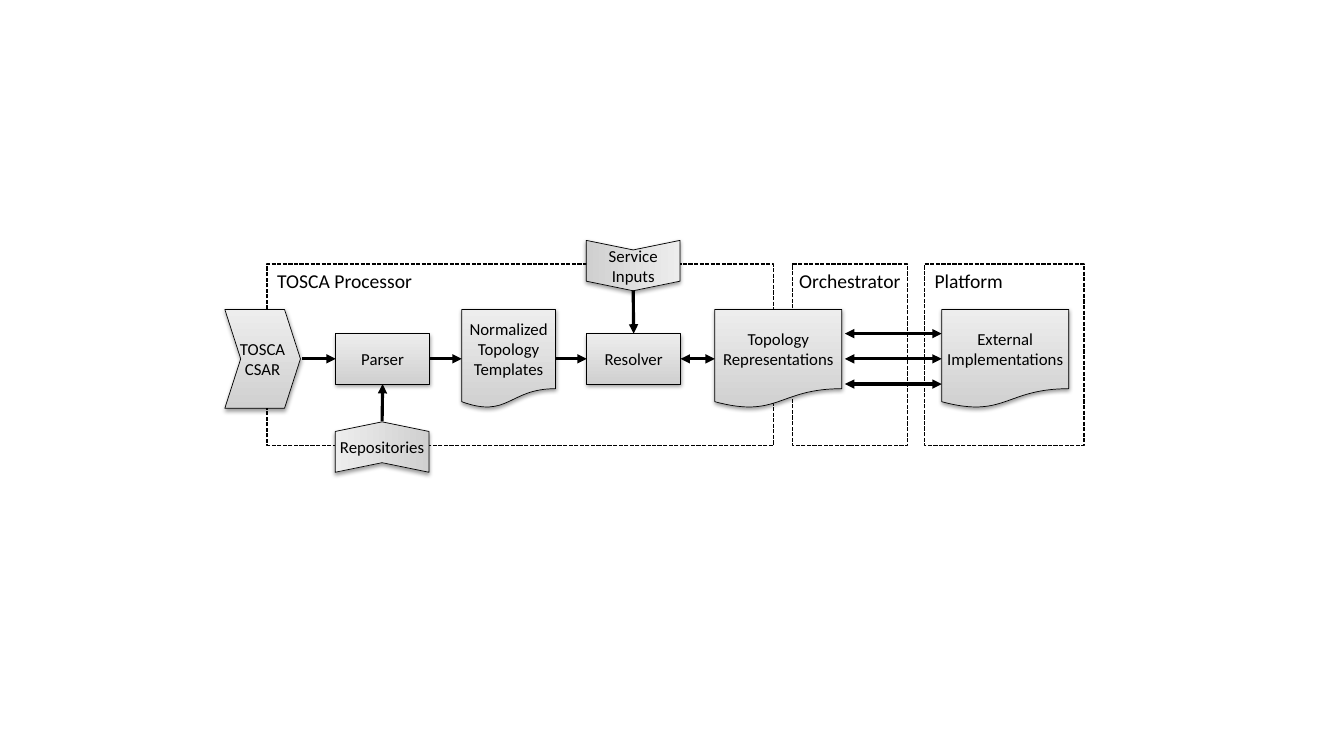
from dataclasses import dataclass
from typing import Optional

from lxml.etree import SubElement
from pptx import Presentation
from pptx.dml.color import RGBColor
from pptx.enum.dml import MSO_LINE
from pptx.enum.shapes import MSO_CONNECTOR, MSO_SHAPE
from pptx.enum.text import MSO_ANCHOR, PP_ALIGN
from pptx.oxml.ns import qn
from pptx.shapes.autoshape import Shape
from pptx.shapes.connector import Connector
from pptx.slide import Slide
from pptx.util import Inches, Pt

COLORS = {"ink": "000000", "dark": "D0D0D0", "light": "EDEDED"}
FONT = "Calibri"
TOP, LEFT, BOTTOM, RIGHT = range(4)
FRAME_TOP, FRAME_HEIGHT = 2.62, 1.8
MIDDLE = 3.56
ARROW_GAP = 0.25
DEFAULT_INSETS = (0.1, 0.05, 0.1, 0.05)
NO_INSETS = (0, 0, 0, 0)


@dataclass(frozen=True)
class Frame:
    text: str
    left: float
    width: float
    align: PP_ALIGN = PP_ALIGN.LEFT
    insets: tuple[float, ...] = DEFAULT_INSETS


@dataclass(frozen=True)
class Node:
    name: str
    text: str
    kind: MSO_SHAPE
    left: float
    top: float
    width: float
    height: float
    insets: tuple[float, ...] = NO_INSETS
    notch: Optional[float] = None
    rotation: int = 0
    direction: str = "horz"
    wrap: bool = True


@dataclass(frozen=True)
class Arrow:
    begin: tuple[float, float]
    end: tuple[float, float]
    source: Optional[tuple[str, int]] = None
    target: Optional[tuple[str, int]] = None
    both_ways: bool = False


FRAMES = [
    Frame("Orchestrator", 7.86, 1.14, PP_ALIGN.CENTER, (0, 0.05, 0, 0.05)),
    Frame("TOSCA Processor", 2.65, 5.02),
    Frame("Platform", 9.17, 1.58),
]

BOX, DOCUMENT, CHEVRON = MSO_SHAPE.RECTANGLE, MSO_SHAPE.FLOWCHART_DOCUMENT, MSO_SHAPE.CHEVRON
NODES = [
    Node("csar", "TOSCA\nCSAR", CHEVRON, 2.23, 3.07, 0.75, 0.98, notch=0.21, wrap=False),
    Node("resolver", "Resolver", BOX, 5.82, 3.31, 0.93, 0.5, DEFAULT_INSETS),
    Node("parser", "Parser", BOX, 3.33, 3.31, 0.93, 0.5, DEFAULT_INSETS),
    Node("templates", "Normalized\nTopology\nTemplates", DOCUMENT, 4.58, 3.07, 0.93, 0.98),
    Node("topology", "Topology\nRepresentations", DOCUMENT, 7.09, 3.07, 1.26, 0.98),
    Node("repositories", "Repositories", CHEVRON, 3.54, 3.97, 0.5, 0.93,
         notch=0.19, rotation=270, direction="vert"),
    Node("inputs", "Service Inputs", CHEVRON, 6.03, 2.17, 0.5, 0.93,
         notch=0.19, rotation=90, direction="vert270"),
    Node("external", "External\nImplementations", DOCUMENT, 9.34, 3.07, 1.26, 0.98),
]

ARROWS = [
    Arrow((3, MIDDLE), (3.33, MIDDLE), target=("parser", LEFT)),
    Arrow((3.79, 4.18), (3.79, 3.81), target=("parser", BOTTOM)),
    Arrow((4.26, MIDDLE), (4.58, MIDDLE), ("parser", RIGHT), ("templates", LEFT)),
    Arrow((5.51, MIDDLE), (5.82, MIDDLE), ("templates", RIGHT), ("resolver", LEFT)),
    Arrow((6.28, 2.88), (6.28, 3.31), target=("resolver", TOP)),
    Arrow((6.75, MIDDLE), (7.09, MIDDLE), ("resolver", RIGHT), ("topology", LEFT), True),
    Arrow((8.38, MIDDLE), (9.34, MIDDLE), target=("external", LEFT), both_ways=True),
] + [
    Arrow((8.38, MIDDLE + offset), (9.34, MIDDLE + offset), both_ways=True)
    for offset in (-ARROW_GAP, ARROW_GAP)
]


def color(name: str) -> RGBColor:
    return RGBColor.from_string(COLORS[name])


def write_text(shape: Shape, text: str, *, size: int, align: PP_ALIGN, anchor: MSO_ANCHOR,
               insets: tuple[float, ...], wrap: bool = True, direction: str = "horz") -> None:
    frame = shape.text_frame
    frame.word_wrap = wrap
    frame.vertical_anchor = anchor
    frame.margin_left, frame.margin_top, frame.margin_right, frame.margin_bottom = map(Inches, insets)
    shape.element.txBody.find(qn("a:bodyPr")).set("vert", direction)
    frame.text = text
    for paragraph in frame.paragraphs:
        paragraph.alignment = align
        font = paragraph.runs[0].font
        font.name, font.size = FONT, Pt(size)
        font.color.rgb = color("ink")


def add_outlined(slide: Slide, kind: MSO_SHAPE, left: float, top: float,
                 width: float, height: float, line_width: float) -> Shape:
    shape = slide.shapes.add_shape(kind, *map(Inches, (left, top, width, height)))
    shape.shadow.inherit = False
    shape.line.color.rgb = color("ink")
    shape.line.width = Pt(line_width)
    return shape


def draw_frame(slide: Slide, frame: Frame) -> None:
    shape = add_outlined(slide, BOX, frame.left, FRAME_TOP, frame.width, FRAME_HEIGHT, 1)
    shape.fill.background()
    shape.line.dash_style = MSO_LINE.SQUARE_DOT
    write_text(shape, frame.text, size=14, align=frame.align,
               anchor=MSO_ANCHOR.TOP, insets=frame.insets)


def add_shadow(shape: Shape) -> None:
    effects = shape.element.spPr.find(qn("a:effectLst"))
    shadow = SubElement(effects, qn("a:outerShdw"), blurRad=str(Pt(3.1)), dist=str(Pt(1.6)),
                        dir="5400000", rotWithShape="0")
    shade = SubElement(shadow, qn("a:srgbClr"), val=COLORS["ink"])
    SubElement(shade, qn("a:alpha"), val="38000")


def draw_node(slide: Slide, node: Node) -> Shape:
    shape = add_outlined(slide, node.kind, node.left, node.top, node.width, node.height, 0.5)
    shape.rotation = node.rotation
    if node.notch is not None:
        shape.adjustments[0] = node.notch
    shape.fill.gradient()
    shape.fill.gradient_angle = 90
    for stop, name in zip(shape.fill.gradient_stops, ("dark", "light")):
        stop.color.rgb = color(name)
    add_shadow(shape)
    write_text(shape, node.text, size=12, align=PP_ALIGN.CENTER, anchor=MSO_ANCHOR.MIDDLE,
               insets=node.insets, wrap=node.wrap, direction=node.direction)
    return shape


def draw_arrow(slide: Slide, arrow: Arrow, shapes: dict[str, Shape]) -> Connector:
    connector = slide.shapes.add_connector(
        MSO_CONNECTOR.STRAIGHT, *map(Inches, arrow.begin + arrow.end))
    if arrow.source:
        name, side = arrow.source
        connector.begin_connect(shapes[name], side)
    if arrow.target:
        name, side = arrow.target
        connector.end_connect(shapes[name], side)
    connector.line.color.rgb = color("ink")
    connector.line.width = Pt(2.25)
    properties = connector.element.spPr
    line = properties.find(qn("a:ln"))
    for tag in ("a:headEnd", "a:tailEnd") if arrow.both_ways else ("a:tailEnd",):
        SubElement(line, qn(tag), type="triangle")
    SubElement(properties, qn("a:effectLst"))
    return connector


def main() -> None:
    presentation = Presentation()
    presentation.slide_width, presentation.slide_height = Inches(13.33), Inches(7.5)
    slide = presentation.slides.add_slide(presentation.slide_layouts[6])
    for frame in FRAMES:
        draw_frame(slide, frame)
    shapes = {node.name: draw_node(slide, node) for node in NODES}
    for arrow in ARROWS:
        draw_arrow(slide, arrow, shapes)
    presentation.save("out.pptx")


if __name__ == "__main__":
    main()
